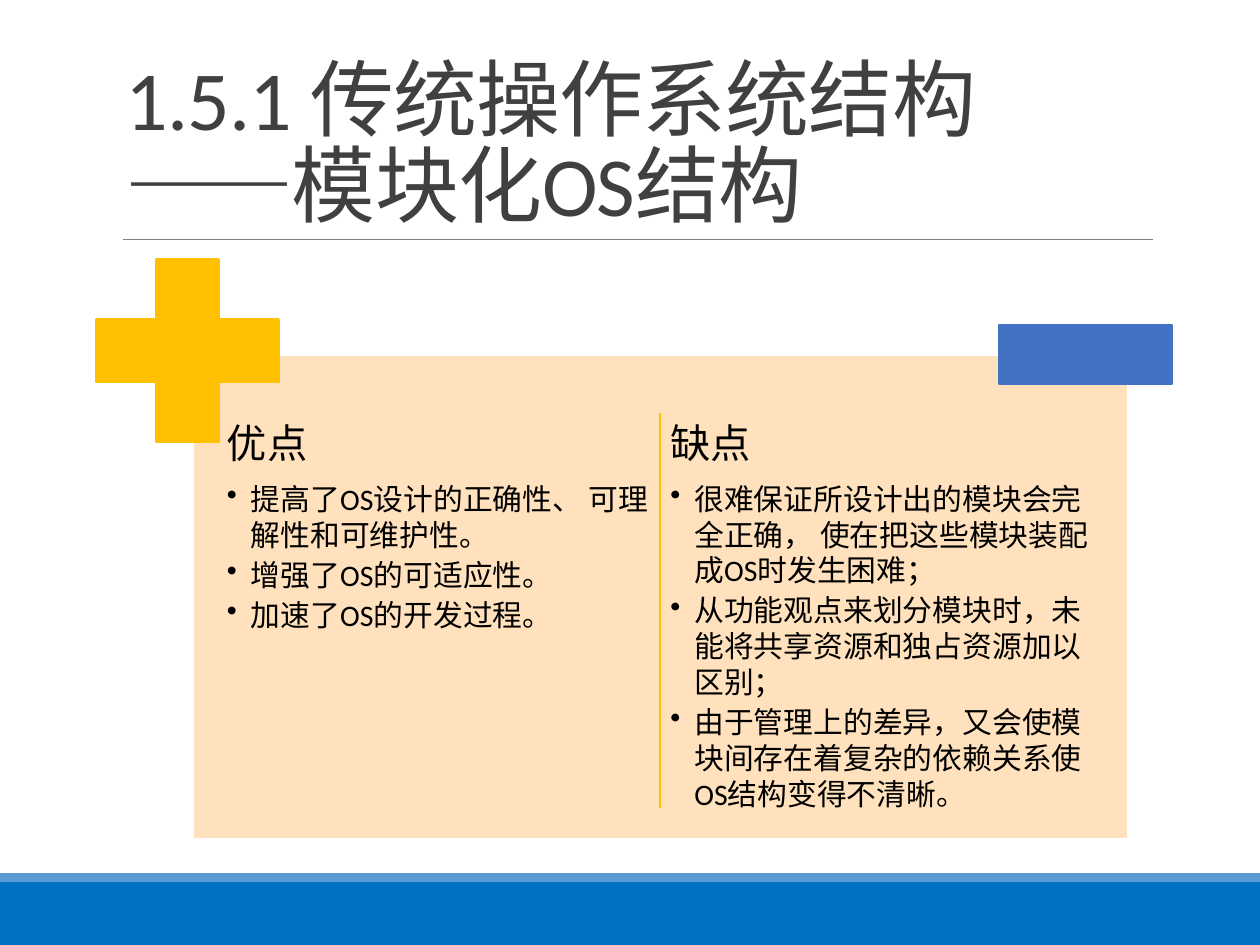
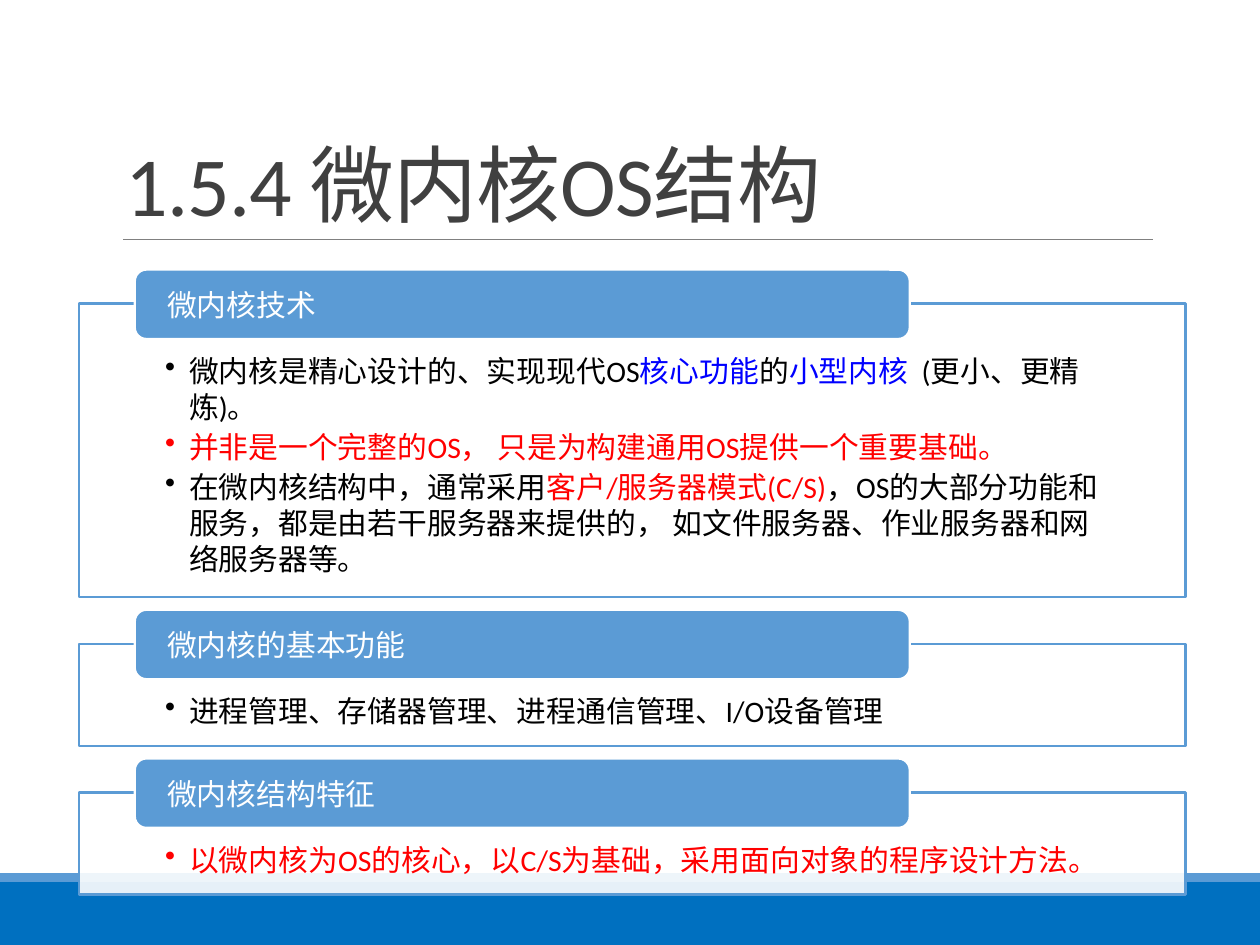
"""Build two slides on operating system structures: modular and microkernel."""
from dataclasses import dataclass

from lxml.etree import SubElement
from pptx import Presentation
from pptx.dml.color import RGBColor
from pptx.enum.shapes import MSO_CONNECTOR as Connector, MSO_SHAPE as Shape
from pptx.enum.text import MSO_ANCHOR as Anchor
from pptx.oxml.ns import qn
from pptx.util import Inches, Pt


@dataclass(frozen=True)
class Theme:
    font: str = "Calibri"
    title_size: float = 48
    heading_size: float = 23
    body_size: float = 17
    title: str = "404040"
    rule: str = "808080"
    footer: str = "0070C0"
    accent: str = "5B9BD5"
    white: str = "FFFFFF"
    black: str = "000000"
    blue: str = "0000FF"
    red: str = "FF0000"
    peach: str = "FFE2BD"
    gold: str = "FFC000"
    indigo: str = "4372C4"
    line: float = 1.25


THEME = Theme()

MODULAR_TITLE = "1.5.1 传统操作系统结构\v——模块化OS结构"
MODULAR_COLUMNS = [
    ("优点", [
        "提高了OS设计的正确性、 可理解性和可维护性。",
        "增强了OS的可适应性。",
        "加速了OS的开发过程。",
    ]),
    ("缺点", [
        "很难保证所设计出的模块会完全正确， 使在把这些模块装配成OS时发生困难；",
        "从功能观点来划分模块时，未能将共享资源和独占资源加以区别；",
        "由于管理上的差异，又会使模块间存在着复杂的依赖关系使OS结构变得不清晰。",
    ]),
]

MICROKERNEL_TITLE = "1.5.4 微内核OS结构"
MICROKERNEL_PANELS = [
    ("微内核技术", 2.33, [
        [("微内核是精心设计的、实现现代OS", THEME.black), ("核心功能", THEME.blue),
         ("的", THEME.black), ("小型内核  ", THEME.blue), ("(更小、更精炼)。", THEME.black)],
        [("并非是一个完整的OS， 只是为构建通用OS提供一个重要基础。", THEME.red)],
        [("在微内核结构中，通常采用", THEME.black), ("客户/服务器模式(C/S)", THEME.red),
         ("，OS的大部分功能和服务，都是由若干服务器来提供的， "
          "如文件服务器、作业服务器和网络服务器等。", THEME.black)],
    ]),
    ("微内核的基本功能", 0.81, [
        [("进程管理、存储器管理、进程通信管理、I/O设备管理", THEME.black)],
    ]),
    ("微内核结构特征", 0.81, [
        [("以微内核为OS的核心，以C/S为基础，采用面向对象的程序设计方法。", THEME.red)],
    ]),
]


def rgb(color):
    return RGBColor.from_string(color)


def add_block(slide, kind, box, fill, line=None):
    shape = slide.shapes.add_shape(kind, *map(Inches, box))
    shape.shadow.inherit = False
    shape.fill.solid()
    shape.fill.fore_color.rgb = rgb(fill)
    if line:
        shape.line.color.rgb = rgb(line)
        shape.line.width = Pt(THEME.line)
    else:
        shape.line.fill.background()
    return shape


def add_line(slide, start, end, color, width):
    connector = slide.shapes.add_connector(
        Connector.STRAIGHT, *map(Inches, (*start, *end)))
    connector.line.color.rgb = rgb(color)
    connector.line.width = Pt(width)
    SubElement(connector._element.spPr, qn("a:effectLst"))


def prepare_frame(shape, insets, anchor):
    frame = shape.text_frame
    frame.word_wrap = True
    frame.vertical_anchor = anchor
    (frame.margin_left, frame.margin_top,
     frame.margin_right, frame.margin_bottom) = map(Inches, insets)
    return frame


def style_run(run, size, color):
    run.font.name = THEME.font
    run.font.size = Pt(size)
    run.font.color.rgb = rgb(color)


def set_heading(frame, text, size, color):
    paragraph = frame.paragraphs[0]
    paragraph.text = text
    paragraph.alignment = 1
    paragraph.space_after = Pt(size * 0.35)
    for run in paragraph.runs:
        style_run(run, size, color)
    return paragraph


def fill_bullet(paragraph, parts):
    paragraph.level = 1
    paragraph.alignment = 1
    paragraph.space_after = Pt(THEME.body_size * 0.15)
    properties = paragraph._p.get_or_add_pPr()
    properties.set("marL", str(Inches(0.19)))
    properties.set("indent", str(-Inches(0.19)))
    SubElement(properties, qn("a:buChar")).set("char", "•")
    for text, color in parts:
        run = paragraph.add_run()
        run.text = text
        style_run(run, THEME.body_size, color)


def add_base_slide(presentation, title):
    slide = presentation.slides.add_slide(presentation.slide_layouts[6])
    add_block(slide, Shape.RECTANGLE, (0, 7, 10, 0.5), THEME.footer)
    add_block(slide, Shape.RECTANGLE, (0, 6.93, 10, 0.07), THEME.accent)
    add_line(slide, (0.98, 1.9), (9.15, 1.9), THEME.rule, 0.5)
    box = slide.shapes.add_textbox(*map(Inches, (0.9, 0.31, 8.25, 1.59)))
    frame = prepare_frame(box, (0.1, 0.05, 0.1, 0.05), Anchor.BOTTOM)
    paragraph = set_heading(frame, title, THEME.title_size, THEME.title)
    paragraph.line_spacing = 0.85
    paragraph.space_after = Pt(0)
    for run in paragraph.runs:
        run.font._element.set("spc", "-50")
    return slide


def add_modular_slide(presentation):
    slide = add_base_slide(presentation, MODULAR_TITLE)
    add_block(slide, Shape.RECTANGLE, (1.53, 2.82, 7.42, 3.84), THEME.peach, THEME.white)
    for index, (heading, points) in enumerate(MODULAR_COLUMNS):
        left = 1.75 + index * 3.52
        column = slide.shapes.add_textbox(*map(Inches, (left, 3.27, 3.45, 3.28)))
        frame = prepare_frame(column, (0.05,) * 4, Anchor.TOP)
        set_heading(frame, heading, THEME.heading_size, THEME.black)
        for point in points:
            fill_bullet(frame.add_paragraph(), [(point, THEME.black)])
    plus = add_block(slide, Shape.CROSS, (0.76, 2.06, 1.45, 1.45), THEME.gold, THEME.gold)
    plus.adjustments[0] = 0.328
    add_block(slide, Shape.RECTANGLE, (7.93, 2.58, 1.37, 0.47), THEME.indigo, THEME.indigo)
    add_line(slide, (5.24, 3.28), (5.24, 6.41), THEME.gold, THEME.line)


def add_microkernel_slide(presentation):
    slide = add_base_slide(presentation, MICROKERNEL_TITLE)
    top, gap, tab_rise = 2.41, 0.37, 0.27
    for heading, height, bullets in MICROKERNEL_PANELS:
        panel = add_block(slide, Shape.RECTANGLE, (0.63, top, 8.78, height),
                          THEME.white, THEME.accent)
        color = panel._element.spPr.find(qn("a:solidFill"))[0]
        SubElement(color, qn("a:alpha")).set("val", "90000")
        frame = prepare_frame(panel, (0.68, 0.39, 0.68, 0.13), Anchor.TOP)
        for index, parts in enumerate(bullets):
            fill_bullet(frame.add_paragraph() if index else frame.paragraphs[0], parts)
        tab = add_block(slide, Shape.ROUNDED_RECTANGLE, (1.07, top - tab_rise, 6.15, 0.55),
                        THEME.accent, THEME.white)
        tab_frame = prepare_frame(tab, (0.23, 0, 0.23, 0), Anchor.MIDDLE)
        paragraph = set_heading(tab_frame, heading, THEME.body_size, THEME.white)
        paragraph.space_after = Pt(0)
        top += height + gap


def main():
    presentation = Presentation()
    presentation.slide_width = Inches(10)
    presentation.slide_height = Inches(7.5)
    add_modular_slide(presentation)
    add_microkernel_slide(presentation)
    presentation.save("out.pptx")


if __name__ == "__main__":
    main()
